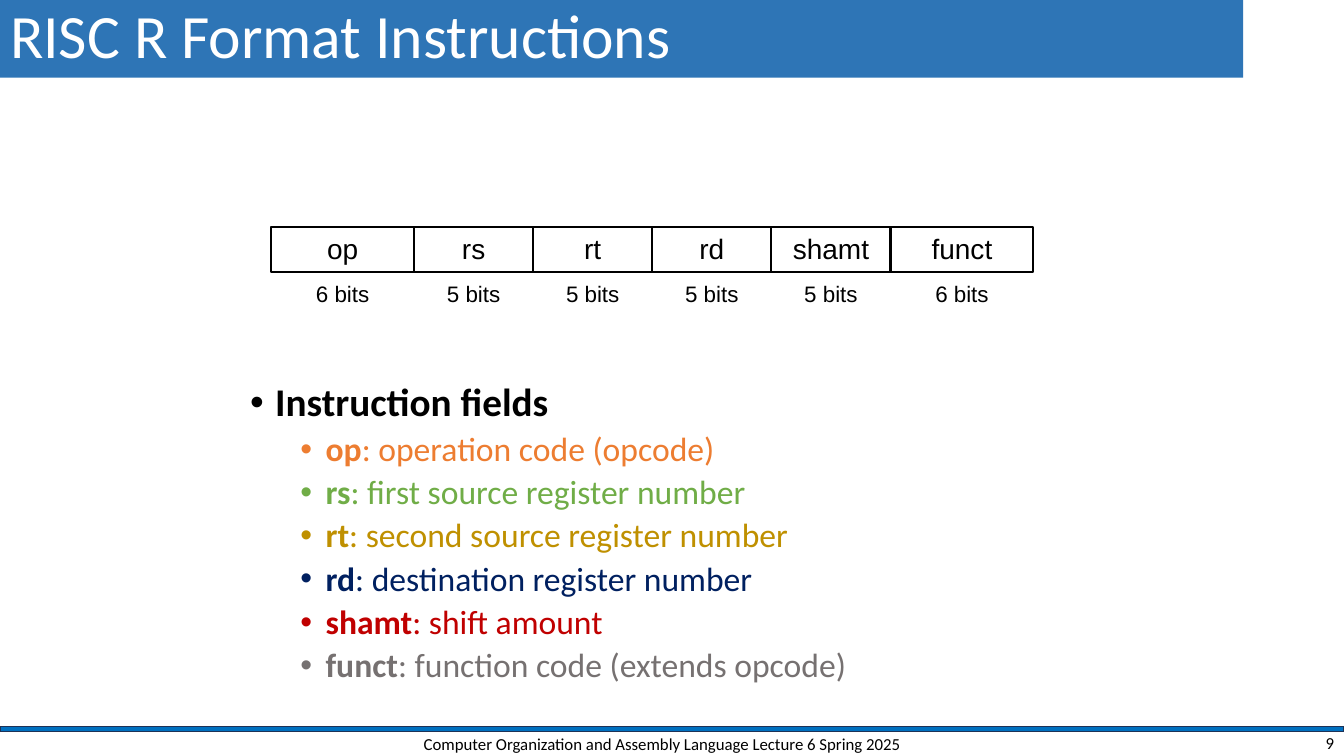
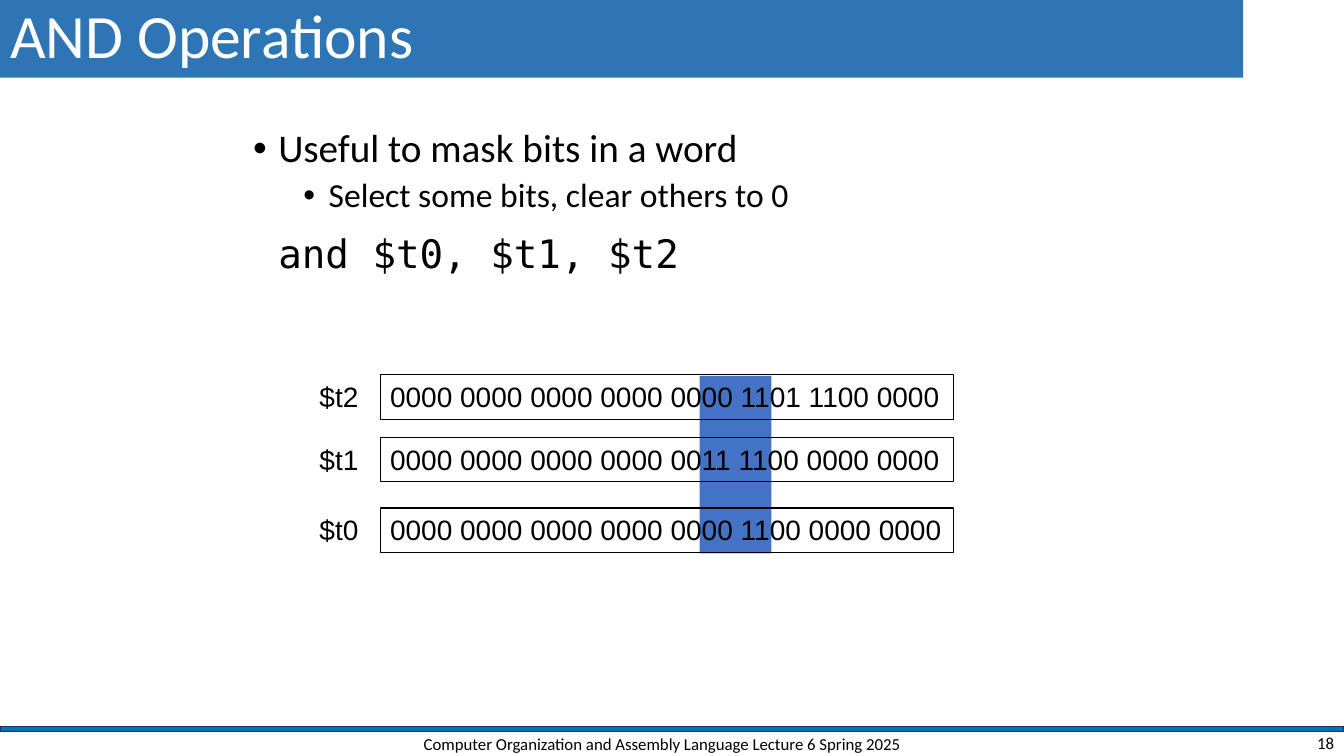
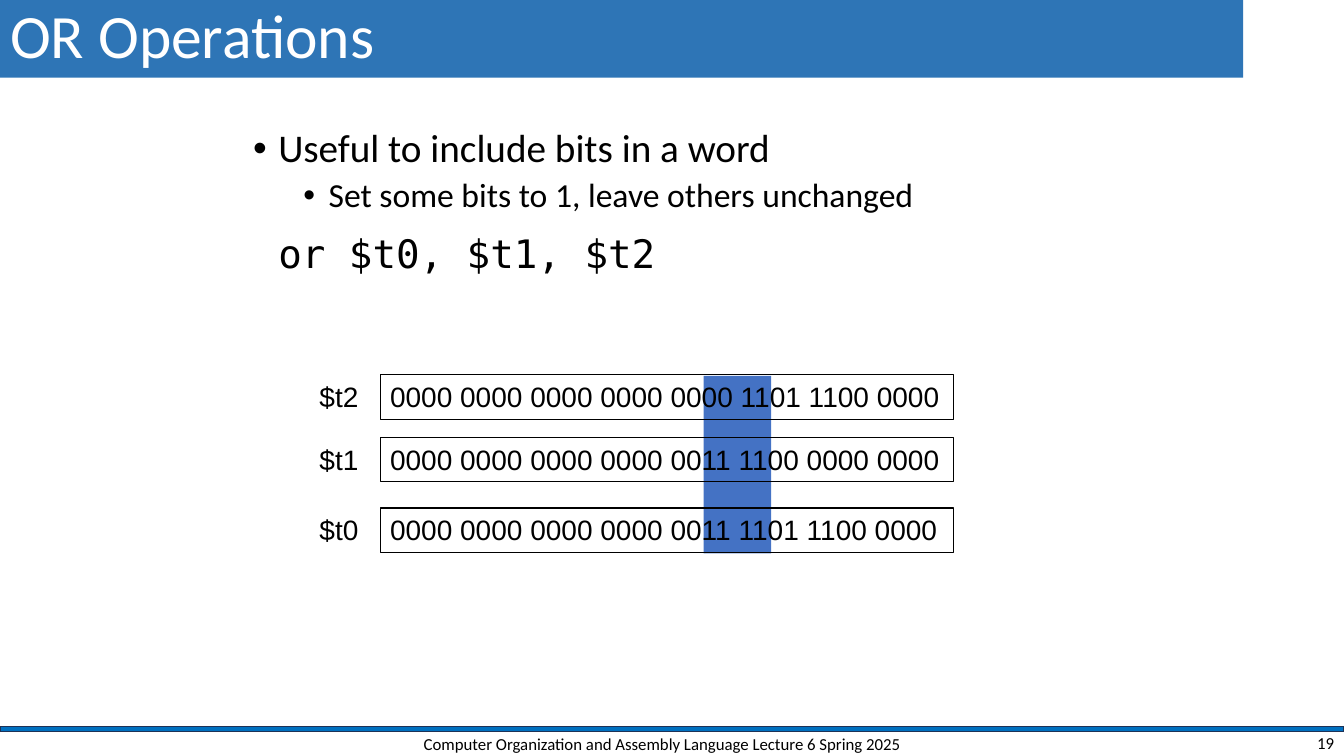
from dataclasses import dataclass

from lxml import etree
from pptx import Presentation
from pptx.dml.color import RGBColor
from pptx.enum.shapes import MSO_SHAPE
from pptx.enum.text import MSO_ANCHOR, MSO_AUTO_SIZE, PP_ALIGN
from pptx.oxml.ns import qn
from pptx.shapes.autoshape import Shape
from pptx.slide import Slide
from pptx.text.text import TextFrame, _Paragraph
from pptx.util import Inches, Pt

RECTANGLE = MSO_SHAPE.RECTANGLE
TOP, MIDDLE = MSO_ANCHOR.TOP, MSO_ANCHOR.MIDDLE
LEFT, CENTER, RIGHT = PP_ALIGN.LEFT, PP_ALIGN.CENTER, PP_ALIGN.RIGHT
NO_AUTOFIT = MSO_AUTO_SIZE.NONE


@dataclass(frozen=True)
class Theme:
    text: str = "000000"
    title_text: str = "FFFFFF"
    title_band: str = "2E75B6"
    footer_bar: str = "0070C0"
    footer_edge: str = "1E3256"
    highlight: str = "4472C4"
    main_font: str = "Calibri"
    diagram_font: str = "Arial"
    code_font: str = "DejaVu Sans Mono"
    title_size: int = 44
    list_size: int = 28
    sublist_size: int = 24
    diagram_size: int = 20
    caption_size: int = 16
    footer_size: int = 12


THEME = Theme()
SLIDE_WIDTH, SLIDE_HEIGHT = 13.33, 7.5
COURSE = "Computer Organization and Assembly Language Lecture 6 Spring 2025"


@dataclass(frozen=True)
class Area:
    """A rectangle in inches."""
    left: float
    top: float
    width: float
    height: float

    def lengths(self) -> tuple[int, int, int, int]:
        return (Inches(self.left), Inches(self.top),
                Inches(self.width), Inches(self.height))


@dataclass(frozen=True)
class Style:
    size: int
    font: str = THEME.main_font
    color: str = THEME.text
    bold: bool = False


@dataclass(frozen=True)
class Field:
    name: str
    bits: int
    meaning: str
    color: str


@dataclass(frozen=True)
class Register:
    name: str
    bits: str


@dataclass(frozen=True)
class LogicPage:
    title: str
    number: int
    use: str
    detail: str
    code: str
    result: str
    highlight_left: float


FIELDS = (
    Field("op", 6, "operation code (opcode)", "ED7D31"),
    Field("rs", 5, "first source register number", "70AD47"),
    Field("rt", 5, "second source register number", "BF9000"),
    Field("rd", 5, "destination register number", "002060"),
    Field("shamt", 5, "shift amount", "C00000"),
    Field("funct", 6, "function code (extends opcode)", "767171"),
)
WORD_BITS = sum(field.bits for field in FIELDS)
WORD_LEFT, WORD_WIDTH = 2.69, 7.56

OPERANDS = (
    Register("$t2", "0000 0000 0000 0000 0000 1101 1100 0000"),
    Register("$t1", "0000 0000 0000 0000 0011 1100 0000 0000"),
)
REGISTER_TOPS = (3.72, 4.34, 5.04)
HIGHLIGHT_RIGHT = 7.65

LOGIC_PAGES = (
    LogicPage("AND Operations", 18, "Useful to mask bits in a word",
              "Select some bits, clear others to 0", "and $t0, $t1, $t2",
              "0000 0000 0000 0000 0000 1100 0000 0000", 6.94),
    LogicPage("OR Operations", 19, "Useful to include bits in a word",
              "Set some bits to 1, leave others unchanged", "or $t0, $t1, $t2",
              "0000 0000 0000 0000 0011 1101 1100 0000", 6.98),
)


def add_span(para: _Paragraph, text: str, style: Style) -> None:
    span = para.add_run()
    span.text = text
    span.font.size = Pt(style.size)
    span.font.name = style.font
    span.font.bold = style.bold
    span.font.color.rgb = RGBColor.from_string(style.color)


def set_text(box: Shape, text: str, style: Style, align: PP_ALIGN = LEFT,
             anchor: MSO_ANCHOR = TOP) -> None:
    frame = box.text_frame
    frame.word_wrap = True
    frame.auto_size = NO_AUTOFIT
    frame.vertical_anchor = anchor
    para = frame.paragraphs[0]
    para.alignment = align
    add_span(para, text, style)


def add_label(page: Slide, area: Area, text: str, style: Style,
              align: PP_ALIGN = LEFT, anchor: MSO_ANCHOR = TOP) -> None:
    box = page.shapes.add_textbox(*area.lengths())
    set_text(box, text, style, align, anchor)


def add_rectangle(page: Slide, area: Area, fill: str = "", line: str = "",
                  line_width: float = 1) -> Shape:
    """Draw a rectangle; an empty colour means no fill or no line."""
    box = page.shapes.add_shape(RECTANGLE, *area.lengths())
    box.shadow.inherit = False
    if fill:
        box.fill.solid()
        box.fill.fore_color.rgb = RGBColor.from_string(fill)
    else:
        box.fill.background()
    if line:
        box.line.color.rgb = RGBColor.from_string(line)
        box.line.width = Pt(line_width)
    else:
        box.line.fill.background()
    return box


def place(box: Shape, area: Area) -> None:
    box.left, box.top, box.width, box.height = area.lengths()


def add_page(deck: Presentation, title: str, number: int) -> Slide:
    """Add a slide with the shared title band and footer."""
    page = deck.slides.add_slide(deck.slide_layouts[1])
    band = page.shapes.title
    place(band, Area(0, 0, 12.33, 0.77))
    band.fill.solid()
    band.fill.fore_color.rgb = RGBColor.from_string(THEME.title_band)
    set_text(band, title, Style(THEME.title_size, color=THEME.title_text),
             anchor=MIDDLE)
    band.text_frame.paragraphs[0].line_spacing = 0.9

    add_rectangle(page, Area(0, 7.21, SLIDE_WIDTH, 0.05),
                  THEME.footer_bar, THEME.footer_edge)
    footer = Style(THEME.footer_size)
    add_label(page, Area(3.92, 7.24, 5.3, 0.28), COURSE, footer, CENTER, MIDDLE)
    add_label(page, Area(10.33, 7.24, 3, 0.25), str(number), footer, RIGHT, MIDDLE)
    return page


def open_body(page: Slide, area: Area) -> TextFrame:
    body = page.placeholders[1]
    place(body, area)
    body.text_frame.auto_size = NO_AUTOFIT
    return body.text_frame


def add_item(frame: TextFrame, level: int = 0, bullet: bool = True,
             space_before: int = 10) -> _Paragraph:
    """Add a list paragraph, reusing the empty first one."""
    first = frame.paragraphs[0]
    para = frame.add_paragraph() if first.runs else first
    para.level = level
    para.line_spacing = 0.9
    para.space_before = Pt(space_before)
    properties = para._p.get_or_add_pPr()
    properties.set("marL", str(Inches(0.25 + 0.5 * level)))
    properties.set("indent", str(Inches(-0.25 if bullet else 0)))
    if bullet:
        etree.SubElement(properties, qn("a:buFont")).set("typeface", "Arial")
        etree.SubElement(properties, qn("a:buChar")).set("char", "•")
    else:
        etree.SubElement(properties, qn("a:buNone"))
    return para


def build_format_page(deck: Presentation) -> None:
    page = add_page(deck, "RISC R Format Instructions", 9)
    frame = open_body(page, Area(2.38, 3.75, 9.05, 3.58))
    add_span(add_item(frame), "Instruction fields", Style(THEME.list_size, bold=True))
    name_style = Style(THEME.diagram_size, THEME.diagram_font)
    bits_style = Style(THEME.caption_size, THEME.diagram_font)
    left = WORD_LEFT
    for field in FIELDS:
        para = add_item(frame, level=1, space_before=5)
        add_span(para, field.name,
                 Style(THEME.sublist_size, color=field.color, bold=True))
        add_span(para, f": {field.meaning}",
                 Style(THEME.sublist_size, color=field.color))

        width = WORD_WIDTH * field.bits / WORD_BITS
        cell = add_rectangle(page, Area(left, 2.25, width, 0.45),
                             line=THEME.text, line_width=1.5)
        set_text(cell, field.name, name_style, CENTER)
        add_label(page, Area(left, 2.73, width, 0.37), f"{field.bits} bits",
                  bits_style, CENTER)
        left += width


def add_register(page: Slide, register: Register, top: float) -> None:
    style = Style(THEME.diagram_size, THEME.diagram_font)
    add_label(page, Area(3.07, top, 0.69, 0.43), register.name, style)
    box = add_rectangle(page, Area(3.77, top, 5.69, 0.44),
                        line=THEME.text, line_width=0.75)
    box.text_frame.margin_right = 0
    set_text(box, register.bits, style)


def build_logic_page(deck: Presentation, content: LogicPage) -> None:
    page = add_page(deck, content.title, content.number)
    frame = open_body(page, Area(2.41, 1.23, 9.05, 2.27))
    add_span(add_item(frame), content.use, Style(THEME.list_size))
    add_span(add_item(frame, level=1, space_before=5), content.detail,
             Style(THEME.sublist_size))
    add_span(add_item(frame, bullet=False, space_before=14), content.code,
             Style(THEME.list_size, THEME.code_font))

    add_rectangle(page, Area(content.highlight_left, 3.73,
                             HIGHLIGHT_RIGHT - content.highlight_left, 1.76),
                  THEME.highlight)
    registers = (*OPERANDS, Register("$t0", content.result))
    for register, top in zip(registers, REGISTER_TOPS):
        add_register(page, register, top)


def main() -> None:
    deck = Presentation()
    deck.slide_width, deck.slide_height = Inches(SLIDE_WIDTH), Inches(SLIDE_HEIGHT)
    build_format_page(deck)
    for content in LOGIC_PAGES:
        build_logic_page(deck, content)
    deck.save("out.pptx")


if __name__ == "__main__":
    main()
